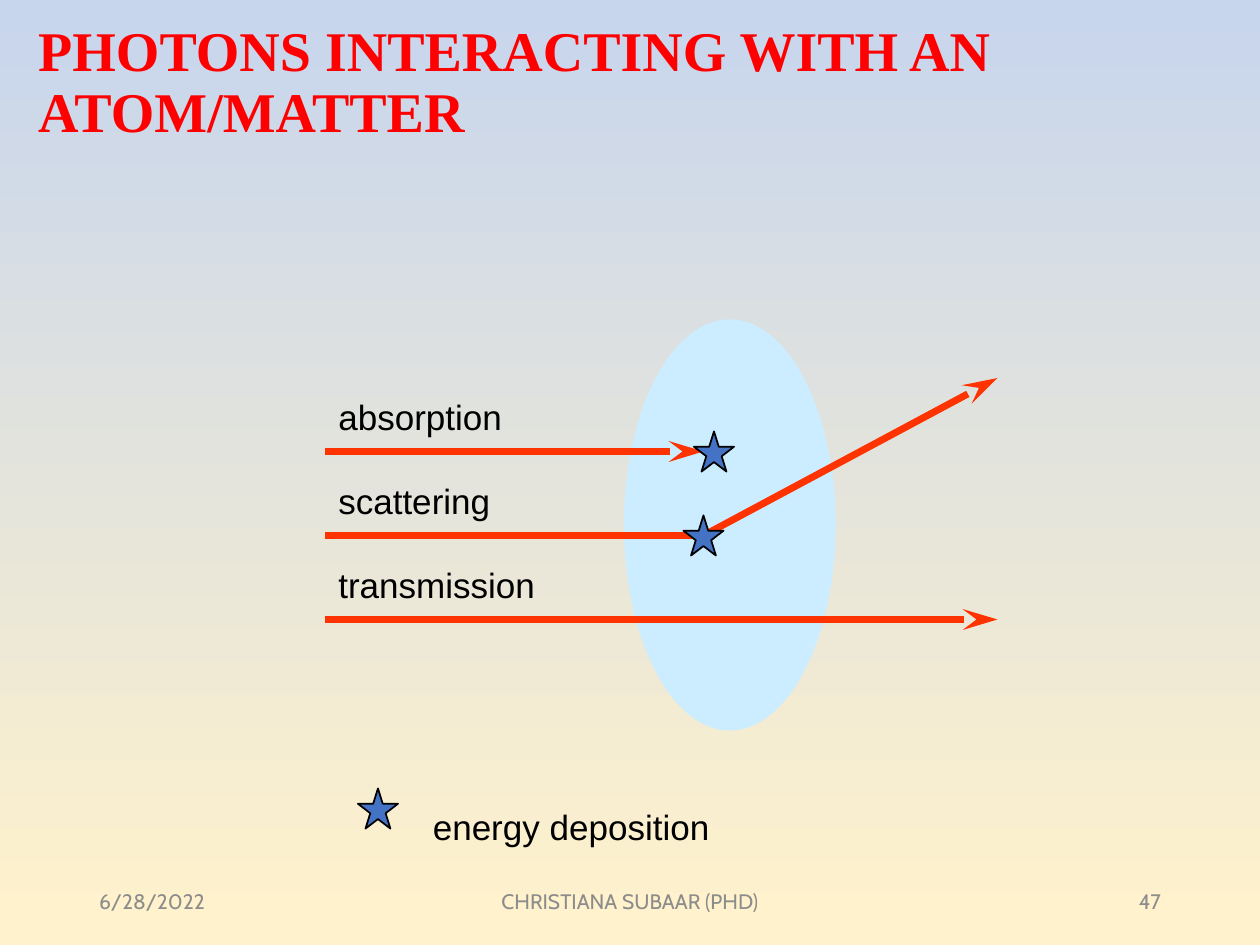
from pptx import Presentation
from pptx.dml.color import RGBColor
from pptx.enum.shapes import MSO_CONNECTOR, MSO_SHAPE
from pptx.enum.text import MSO_ANCHOR, PP_ALIGN
from pptx.oxml.ns import qn
from pptx.util import Pt
from lxml.etree import SubElement

SKY = RGBColor(0xC7, 0xD5, 0xED)
SAND = RGBColor(0xFF, 0xF2, 0xCC)
ATOM_BLUE = RGBColor(0xCC, 0xEC, 0xFF)
PHOTON_RED = RGBColor(0xFF, 0x33, 0x00)
STAR_BLUE = RGBColor(0x44, 0x72, 0xC4)
TITLE_RED = RGBColor(0xFF, 0x00, 0x00)
BLACK = RGBColor(0x00, 0x00, 0x00)
GRAY = RGBColor(0x8C, 0x8C, 0x8C)

PATH_START = 186
SCATTER_POINT = 402
PATH_END = 570
FIRST_ROW, ROW_STEP = 258, 48
STAR_SIZE = 23


def set_background(slide):
    fill = slide.background.fill
    fill.gradient()
    fill.gradient_angle = 270
    for stop, color, position in zip(fill.gradient_stops, (SKY, SAND), (0, 0.98)):
        stop.color.rgb = color
        stop.position = position


def add_filled_shape(slide, kind, left, top, width, height, color):
    shape = slide.shapes.add_shape(kind, Pt(left), Pt(top), Pt(width), Pt(height))
    shape.shadow.inherit = False
    shape.fill.solid()
    shape.fill.fore_color.rgb = color
    shape.line.fill.background()
    return shape


def add_star(slide, left, top):
    star = add_filled_shape(slide, MSO_SHAPE.STAR_5_POINT, left, top,
                            STAR_SIZE, STAR_SIZE, STAR_BLUE)
    star.line.color.rgb = BLACK
    star.line.width = Pt(1)


def add_photon_path(slide, start, end, arrow=True):
    connector = slide.shapes.add_connector(
        MSO_CONNECTOR.STRAIGHT, *(Pt(value) for value in start + end))
    connector.line.color.rgb = PHOTON_RED
    connector.line.width = Pt(4)
    properties = connector._element.spPr
    if arrow:
        SubElement(properties.find(qn("a:ln")), qn("a:tailEnd"),
                   type="stealth", len="lg")
    SubElement(properties, qn("a:effectLst"))


def add_text(slide, text, left, top, width, height, font_name, size, color,
             bold=False, align=PP_ALIGN.LEFT):
    box = slide.shapes.add_textbox(Pt(left), Pt(top), Pt(width), Pt(height))
    frame = box.text_frame
    frame.text = text
    frame.word_wrap = True
    frame.vertical_anchor = MSO_ANCHOR.MIDDLE
    paragraph = frame.paragraphs[0]
    paragraph.alignment = align
    font = paragraph.runs[0].font
    font.name, font.size, font.bold = font_name, Pt(size), bold
    font.color.rgb = color
    return frame


def add_label(slide, text, left, top, width):
    frame = add_text(slide, text, left, top, width, 31, "Arial", 20, BLACK)
    frame.vertical_anchor = MSO_ANCHOR.TOP


def add_title(slide, text):
    frame = add_text(slide, text, 14.75, 5.25, 675.4, 85,
                     "Times New Roman", 32, TITLE_RED, bold=True)
    frame.paragraphs[0].line_spacing = 0.9


def add_footer(slide):
    for text, left, width, align in (
            ("6/28/2022", 49.5, 162, PP_ALIGN.LEFT),
            ("CHRISTIANA SUBAAR (PHD)", 238.5, 243, PP_ALIGN.CENTER),
            ("47", 508.5, 162, PP_ALIGN.RIGHT)):
        add_text(slide, text, left, 500.5, width, 28.75, "Cabin", 12, GRAY, align=align)


def add_diagram(slide):
    add_filled_shape(slide, MSO_SHAPE.OVAL, 356.5, 182.5, 121, 235, ATOM_BLUE)
    rows = (("absorption", 112, SCATTER_POINT, True),
            ("scattering", 106, SCATTER_POINT, False),
            ("transmission", 131, PATH_END, True))
    for index, (name, width, end, arrow) in enumerate(rows):
        y = FIRST_ROW + index * ROW_STEP
        add_photon_path(slide, (PATH_START, y), (end, y), arrow)
        add_label(slide, name, PATH_START + 0.25, y - 35.5, width)
    add_photon_path(slide, (SCATTER_POINT, FIRST_ROW + ROW_STEP), (PATH_END, 216))
    for left, top in ((396.5, 246.5), (390.5, 294.5), (204.5, 450.5)):
        add_star(slide, left, top)
    add_label(slide, "energy deposition", 240.25, 456.5, 178)


def main():
    presentation = Presentation()
    presentation.slide_width, presentation.slide_height = Pt(720), Pt(540)
    slide = presentation.slides.add_slide(presentation.slide_layouts[6])
    set_background(slide)
    add_diagram(slide)
    add_title(slide, "PHOTONS INTERACTING WITH AN ATOM/MATTER")
    add_footer(slide)
    presentation.save("out.pptx")


if __name__ == "__main__":
    main()
